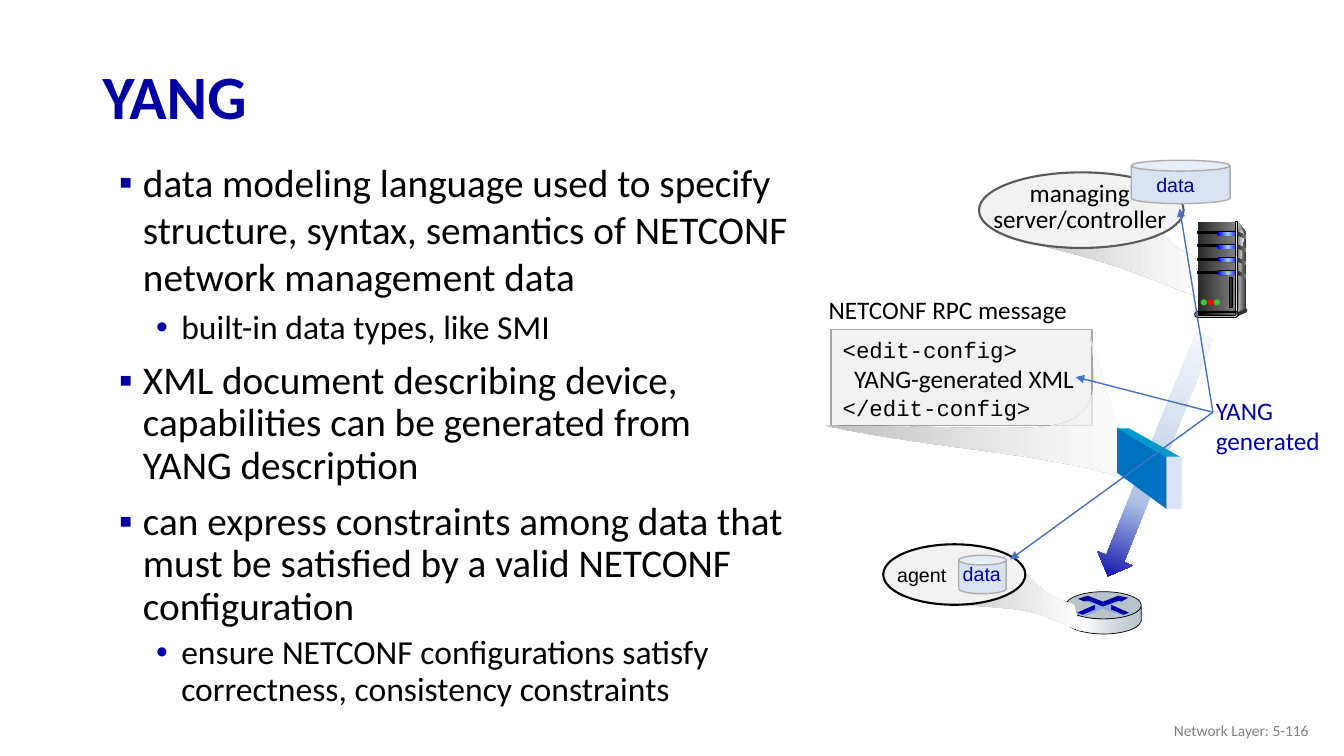
"""Build the YANG slide: bullet text beside a NETCONF management diagram."""
from dataclasses import dataclass
from typing import Optional, Union

from lxml.etree import SubElement
from pptx import Presentation
from pptx.dml.color import RGBColor
from pptx.enum.shapes import MSO_CONNECTOR as Connector, MSO_SHAPE as Shape
from pptx.enum.text import MSO_ANCHOR as Anchor, MSO_AUTO_SIZE as AutoSize, PP_ALIGN as Align
from pptx.oxml.ns import qn
from pptx.util import Inches, Pt

GRID_CELL = Inches(1)
COLUMNS, ROWS = 13.33, 7.5
BLACK, WHITE, NEAR_WHITE = RGBColor(0, 0, 0), RGBColor(255, 255, 255), RGBColor(0xF8, 0xF8, 0xF8)
NAVY, INDIGO, BLUE = RGBColor(0, 0, 0xA3), RGBColor(0, 0, 0xA8), RGBColor(0, 0, 255)
PALE_BLUE, SOFT_BLUE, SKY = RGBColor(0xDA, 0xE3, 0xF3), RGBColor(0x8F, 0xAA, 0xDC), RGBColor(0x99, 0xCC, 0xFF)
ICE, MIST_BLUE, ARROW_BLUE = RGBColor(0xF6, 0xF8, 0xFC), RGBColor(0xAB, 0xC0, 0xE4), RGBColor(0x44, 0x72, 0xC4)
WALL_BLUE, WALL_TOP = RGBColor(0, 0x70, 0xC0), RGBColor(0, 0x99, 0xCC)
GREEN, RED = RGBColor(0x33, 0xCC, 0x33), RGBColor(255, 0, 0)
STEEL, PALE_STEEL = RGBColor(0xB8, 0xC2, 0xC9), RGBColor(0xD6, 0xDC, 0xE0)
COAL, CHARCOAL, SLATE = RGBColor(0x29, 0x29, 0x29), RGBColor(0x33, 0x33, 0x33), RGBColor(0x59, 0x59, 0x59)
GRAY, EDGE_GRAY, CAN_EDGE = RGBColor(0x80, 0x80, 0x80), RGBColor(0xA6, 0xA6, 0xA6), RGBColor(0xAF, 0xAB, 0xAB)
SILVER, LIGHT, PANEL = RGBColor(0xBF, 0xBF, 0xBF), RGBColor(0xDD, 0xDD, 0xDD), RGBColor(0xF2, 0xF2, 0xF2)

Stop = tuple[int, RGBColor, int]
Fill = Union[RGBColor, tuple[Stop, ...]]
Edge = Optional[tuple[RGBColor, float]]
Box = tuple[float, float, float, float]

@dataclass
class Preset:
    kind: Shape
    box: Box
    fill: Fill
    edge: Edge = None
    rotation: float = 0

@dataclass
class Outline:
    points: list[tuple[float, ...]]
    fill: Fill
    edge: Edge = None

@dataclass
class Line:
    text: str
    size: float
    color: RGBColor = BLACK
    font: str = "Calibri"
    bold: bool = False
    align: Align = Align.LEFT
    spacing: float = 1.0
    before: float = 0
    bullet: Optional[tuple[str, RGBColor, float, float]] = None

@dataclass
class TextBlock:
    box: Box
    lines: list[Line]
    wrap: bool = True
    anchor: Anchor = Anchor.TOP
    size_rule: AutoSize = AutoSize.SHAPE_TO_FIT_TEXT

@dataclass
class Arrow:
    start: tuple[float, float]
    end: tuple[float, float]

def cells(values) -> list[int]:
    return [round(value * GRID_CELL) for value in values]

def blend(*stops: tuple[int, RGBColor], last_opacity: int = 100) -> tuple[Stop, ...]:
    return tuple((place, color, last_opacity if place == 100 else 100) for place, color in stops)

def paint(shape, fill: Fill, edge: Edge) -> None:
    shape.shadow.inherit = False
    if isinstance(fill, RGBColor):
        shape.fill.solid()
        shape.fill.fore_color.rgb = fill
    else:
        shape.fill.gradient()
        shape.fill.gradient_angle = 0
        stop_list = shape.element.spPr.find(qn("a:gradFill")).find(qn("a:gsLst"))
        stop_list.clear()
        for place, color, opacity in fill:
            stop = SubElement(stop_list, qn("a:gs"), pos=str(place * 1000))
            tone = SubElement(stop, qn("a:srgbClr"), val=str(color))
            if opacity < 100:
                SubElement(tone, qn("a:alpha"), val=str(opacity * 1000))
    if edge:
        shape.line.color.rgb, shape.line.width = edge[0], Pt(edge[1])
    else:
        shape.line.fill.background()

def draw_preset(slide, part: Preset) -> None:
    shape = slide.shapes.add_shape(part.kind, *cells(part.box))
    shape.rotation = part.rotation
    if part.kind == Shape.ROUNDED_RECTANGLE:
        shape.adjustments[0] = 0.5
    paint(shape, part.fill, part.edge)

def draw_outline(slide, part: Outline) -> None:
    builder = slide.shapes.build_freeform(*cells(part.points[0]))
    builder.add_line_segments([cells(point[index:index + 2]) for point in part.points[1:]
                               for index in range(0, len(point), 2)], close=True)
    shape = builder.convert_to_shape()
    segments = iter(list(shape.element.iter(qn("a:lnTo"))))
    for point in part.points[1:]:
        segment = next(segments)
        if len(point) == 6:
            curve = segment.makeelement(qn("a:cubicBezTo"))
            segment.addprevious(curve)
            for control in (segment, next(segments), next(segments)):
                curve.append(control[0])
                control.getparent().remove(control)
    paint(shape, part.fill, part.edge)

def draw_text(slide, part: TextBlock) -> None:
    frame = slide.shapes.add_textbox(*cells(part.box)).text_frame
    formats = {"word_wrap": part.wrap, "vertical_anchor": part.anchor, "auto_size": part.size_rule}
    for name, value in formats.items():
        setattr(frame, name, value)
    for index, line in enumerate(part.lines):
        paragraph = frame.add_paragraph() if index else frame.paragraphs[0]
        if line.bullet:
            mark, color, margin, indent = line.bullet
            properties = paragraph._p.get_or_add_pPr()
            properties.set("marL", str(Inches(margin)))
            properties.set("indent", str(Inches(indent)))
            SubElement(SubElement(properties, qn("a:buClr")), qn("a:srgbClr"), val=str(color))
            SubElement(properties, qn("a:buFont"), typeface="Arial")
            SubElement(properties, qn("a:buChar"), char=mark)
        layout = {"alignment": line.align, "line_spacing": line.spacing, "space_before": Pt(line.before)}
        for name, value in layout.items():
            setattr(paragraph, name, value)
        run = paragraph.add_run()
        run.text = line.text
        for name, value in {"name": line.font, "size": Pt(line.size), "bold": line.bold}.items():
            setattr(run.font, name, value)
        run.font.color.rgb = line.color

def draw_arrow(slide, part: Arrow) -> None:
    connector = slide.shapes.add_connector(Connector.STRAIGHT, *cells(part.start + part.end))
    connector.line.color.rgb, connector.line.width = ARROW_BLUE, Pt(1)
    properties = connector.element.spPr
    SubElement(properties.find(qn("a:ln")), qn("a:tailEnd"), type="triangle")
    SubElement(properties, qn("a:effectLst"))

def point(text: str, spacing: float = 0.9, before: float = 10) -> Line:
    return Line(text, 28, spacing=spacing, before=before, bullet=("▪", NAVY, 0.38, -0.24))

def subpoint(text: str, spacing: float = 0.9) -> Line:
    return Line(text, 24, spacing=spacing, before=5, bullet=("•", INDIGO, 0.76, -0.25))

def drive_bay(top: float) -> list[Preset]:
    return [Preset(Shape.RECTANGLE, (11.88, top, 0.21, 0.02), BLACK, THIN),
            Preset(Shape.ROUNDED_RECTANGLE, (12.07, top - 0.01, 0.21, 0.05), BLACK),
            Preset(Shape.ROUNDED_RECTANGLE, (12.08, top, 0.2, 0.04), blend((0, BLUE), (50, SKY), (100, BLUE)))]

def vent(top: float) -> Outline:
    return Outline([(12.27, top), (12.28, top, 12.32, top + 0.02, 12.36, top + 0.04),
                    (12.36, top + 0.05, 12.36, top + 0.05, 12.36, top + 0.07),
                    (12.36, top + 0.07, 12.32, top + 0.05, 12.27, top + 0.03),
                    (12.27, top + 0.01, 12.27, top, 12.27, top)], METAL)

METAL = blend((0, COAL), (100, GRAY))
BEAM, CLEAR_BEAM = [blend((1, SILVER), (100, WHITE), last_opacity=opacity) for opacity in (100, 68)]
THIN, CAN_LINE = (BLACK, 0.75), (CAN_EDGE, 1)
BAY_TOPS = [2.3 + 0.13 * bay for bay in range(4)]
FIXED = {"anchor": Anchor.MIDDLE, "size_rule": AutoSize.NONE}
TEXTS = [
    TextBlock((0.94, 1.52, 6.97, 5.66), [
        point("data modeling language used to specify structure, syntax, semantics of NETCONF network management data", 1, 0),
        subpoint("built-in data types, like SMI", 1),
        point("XML document describing device, capabilities can be generated from YANG description"),
        point("can express constraints among data that must be satisfied by a valid NETCONF configuration"),
        subpoint("ensure NETCONF configurations satisfy correctness, consistency constraints")], size_rule=AutoSize.NONE),
    TextBlock((0.92, 0.5, 11.5, 0.98), [Line("YANG", 44, NAVY, bold=True, spacing=0.9)], **FIXED),
    TextBlock((10.08, 7.05, 3, 0.4), [Line("Network Layer: 5-116", 11, GRAY, align=Align.RIGHT)], **FIXED)]
ROUTER = [
    Outline([(11.32, 6.02), (11.32, 6.16), (11.29, 6.26, 11.07, 6.29, 10.95, 6.29),
             (10.82, 6.29, 10.59, 6.26, 10.57, 6.16), (10.57, 6.12, 10.57, 6.05, 10.57, 6.02),
             (10.6, 6.1, 10.82, 6.14, 10.94, 6.14), (11.06, 6.14, 11.28, 6.11, 11.32, 6.02)],
            blend((0, STEEL), (21, WHITE), (60, PALE_STEEL), (100, STEEL)), (BLACK, 0.5)),
    Preset(Shape.OVAL, (10.57, 5.87, 0.75, 0.27), STEEL, (BLACK, 0.5)),
    Outline([(11.09, 5.91), (11.19, 5.93), (11.12, 5.97), (11.1, 5.96), (10.94, 6.02), (10.79, 5.96),
             (10.76, 5.97), (10.69, 5.94), (10.79, 5.91), (10.94, 5.97), (11.09, 5.91)], NAVY),
    Outline([(11.02, 6), (11.2, 6.08), (11.14, 6.1), (11.02, 6.05), (11.02, 6)], NAVY),
    Outline([(10.86, 6), (10.86, 6.05), (10.74, 6.1), (10.68, 6.08), (10.86, 6)], INDIGO),
    Outline([(10.76, 5.96), (10.79, 5.96), (10.94, 6.02), (11.1, 5.96), (11.12, 5.96), (11.02, 6), (11.02, 6.05),
             (11.14, 6.1), (11.11, 6.1), (10.94, 6.04), (10.77, 6.11), (10.74, 6.1), (10.86, 6.05),
             (10.86, 6.04, 10.86, 6.02, 10.86, 6), (10.76, 5.97), (10.75, 5.96, 10.76, 5.96, 10.76, 5.96)], SOFT_BLUE)]
AGENT = [
    Outline([(10.65, 6), (10.4, 5.91, 10.37, 5.9, 10.05, 5.55), (9.2, 5.97),
             (10.28, 6.07, 10.06, 5.99, 10.72, 6.26), (10.65, 6)], BEAM),
    Preset(Shape.OVAL, (8.76, 5.4, 1.41, 0.6), PANEL, (BLACK, 1.5)),
    TextBlock((8.8, 5.54, 0.69, 0.34), [Line("agent", 14, font="Arial")], wrap=False),
    Preset(Shape.CAN, (9.51, 5.51, 0.47, 0.38), PALE_BLUE, CAN_LINE),
    TextBlock((9.45, 5.53, 0.58, 0.34), [Line("data", 14, INDIGO, "Arial")], wrap=False)]
CONTROLLER = [
    Outline([(11.85, 2.53), (11.67, 2.48, 11.61, 2.43, 11.54, 2.31), (10.98, 2.45, 11.02, 2.5, 10.15, 2.4),
             (11.09, 2.62, 11.18, 2.68, 11.9, 2.95), (11.85, 2.53)], CLEAR_BEAM),
    Preset(Shape.OVAL, (9.71, 1.71, 2.03, 0.75), PANEL, (SLATE, 1.5)),
    TextBlock((9.73, 1.76, 1.96, 0.62), [Line(text, 18, align=Align.CENTER, spacing=0.85)
                                         for text in ("managing", "server/controller")]),
    Preset(Shape.CAN, (11.22, 1.59, 0.98, 0.43), PALE_BLUE, CAN_LINE),
    TextBlock((11.37, 1.67, 0.65, 0.34), [Line("data", 14, INDIGO, "Arial")])]
SERVER = [
    Outline([(12.28, 2.2), (12.36, 2.31), (12.36, 3.07), (12.26, 3.1), (12.28, 2.2)], blend((0, LIGHT), (100, CHARCOAL))),
    Preset(Shape.RECTANGLE, (11.88, 2.2, 0.38, 0.9), METAL),
    Outline([(12.28, 2.26), (12.28, 2.26, 12.3, 2.26, 12.34, 2.33), (12.28, 2.66, 12.29, 3.09, 12.28, 3.08),
             (12.28, 2.26)], blend((0, GRAY), (100, NEAR_WHITE))),
    *[part for top in BAY_TOPS for part in drive_bay(top)],
    Preset(Shape.RECTANGLE, (12.25, 2.2, 0.02, 0.9), blend((0, CHARCOAL), (50, LIGHT), (100, CHARCOAL)), THIN),
    *[vent(top) for top in BAY_TOPS],
    Preset(Shape.OVAL, (12.35, 3.06, 0.02, 0.04), CHARCOAL),
    Outline([(12.27, 3.1), (12.27, 3.14), (12.36, 3.1), (12.36, 3.06), (12.27, 3.1)], CHARCOAL),
    Preset(Shape.ROUNDED_RECTANGLE, (11.85, 3.09, 0.43, 0.06), LIGHT, THIN),
    Preset(Shape.ROUNDED_RECTANGLE, (11.88, 3.1, 0.38, 0.03), blend((0, BLACK), (100, GRAY)), THIN),
    *[Preset(Shape.OVAL, (left, 2.97, 0.06, 0.06), color)
      for left, color in ((11.91, GREEN), (11.98, RED), (12.04, GREEN))],
    Preset(Shape.RECTANGLE, (12.19, 2.75, 0.03, 0.3), COAL, THIN)]
MESSAGE = [
    Preset(Shape.RIGHT_ARROW, (10.18, 4.33, 2.58, 0.38),
           blend((0, ICE), (35, PALE_BLUE), (68, MIST_BLUE), (100, INDIGO)), rotation=111.9),
    TextBlock((8.12, 2.87, 2.63, 0.4), [Line("NETCONF RPC message", 18)]),
    Preset(Shape.RECTANGLE, (8.24, 3.27, 2.59, 0.95), PANEL, (EDGE_GRAY, 1)),
    TextBlock((8.26, 3.29, 2.63, 0.94), [
        Line("<edit-config>", 16, font="Courier New"), Line("  YANG-generated XML", 18),
        Line("</edit-config>", 16, font="Courier New")]),
    Outline([(11.21, 4.36), (11.04, 4.31, 10.88, 3.47, 10.81, 3.35), (10.95, 4.48, 10.67, 4.22, 8.18, 4.22),
             (9.12, 4.44, 10.5, 4.5, 11.22, 4.77), (11.21, 4.36)], CLEAR_BEAM)]
WALL = [
    Outline([(11.08, 4.24), (11.08, 4.69), (11.57, 5.05), (11.57, 4.88, 11.57, 4.7, 11.57, 4.52), (11.08, 4.24)], WALL_BLUE),
    Outline([(11.2, 4.25), (11.16, 4.25, 11.2, 4.25, 11.08, 4.25), (11.57, 4.54),
             (11.65, 4.54, 11.61, 4.54, 11.72, 4.54), (11.2, 4.25)], WALL_TOP),
    Preset(Shape.RECTANGLE, (11.57, 4.53, 0.15, 0.52), PALE_BLUE)]
GENERATED = [
    TextBlock((11.96, 3.87, 1.25, 0.71), [Line(text, 18, INDIGO) for text in ("YANG", "generated")], wrap=False),
    *[Arrow((12.03, 4.09), end) for end in ((11.7, 2.07), (10.02, 5.55), (10.67, 3.74))]]
PAINTERS = {Preset: draw_preset, Outline: draw_outline, TextBlock: draw_text, Arrow: draw_arrow}

def main() -> None:
    presentation = Presentation()
    presentation.slide_width, presentation.slide_height = cells((COLUMNS, ROWS))
    slide = presentation.slides.add_slide(presentation.slide_layouts[6])
    for part in TEXTS + ROUTER + AGENT + CONTROLLER + SERVER + MESSAGE + WALL + GENERATED:
        PAINTERS[type(part)](slide, part)
    presentation.save("out.pptx")

if __name__ == "__main__":
    main()
